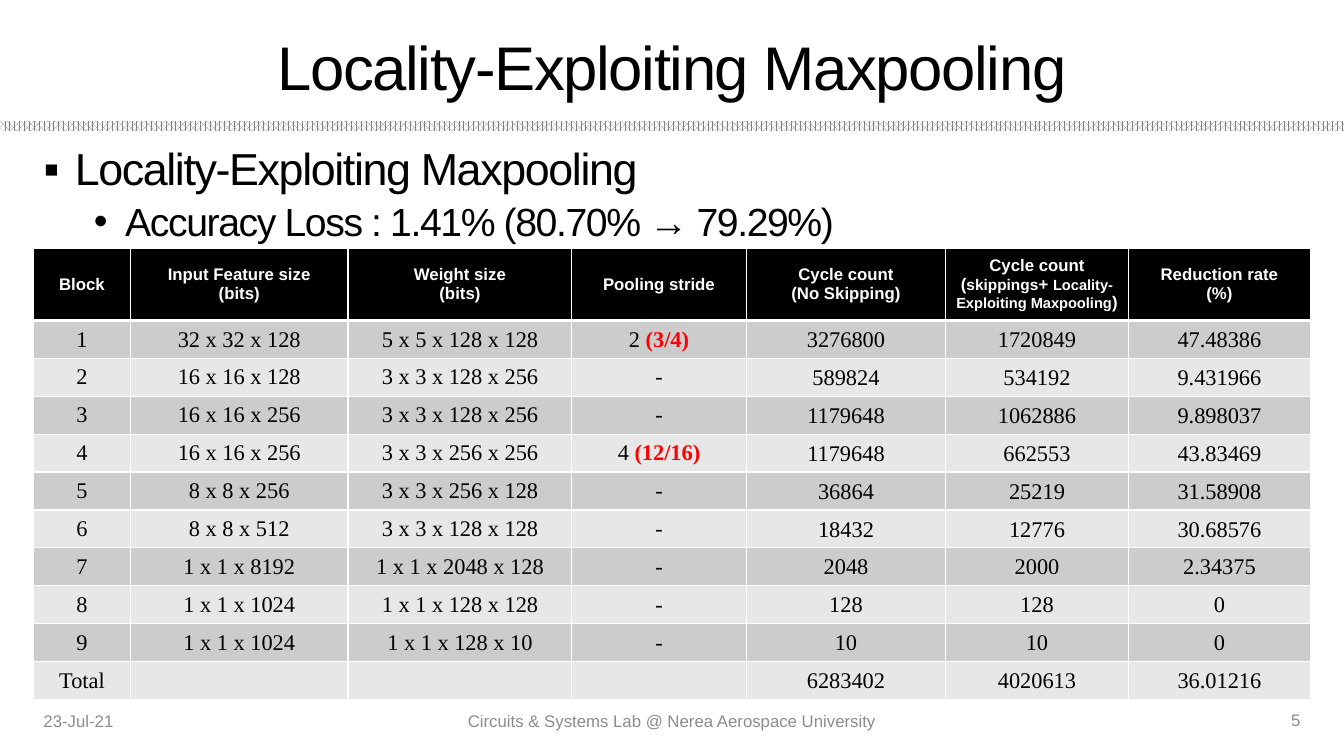
from dataclasses import dataclass, replace
from typing import NamedTuple

from lxml.etree import SubElement
from pptx import Presentation
from pptx.dml.color import RGBColor
from pptx.enum.dml import MSO_PATTERN
from pptx.enum.shapes import MSO_SHAPE
from pptx.enum.text import MSO_ANCHOR, MSO_AUTO_SIZE, PP_ALIGN
from pptx.oxml import parse_xml
from pptx.oxml.ns import nsdecls, qn
from pptx.util import Inches, Pt

SLIDE_WIDTH, SLIDE_HEIGHT = Inches(13.333), Inches(7.5)
GRID_COLUMNS, GRID_ROWS = 40, 75


@dataclass(frozen=True)
class Style:
    """Look of a run of text."""
    size: float
    color: str = "000000"
    font: str = "Arial"
    bold: bool = False
    tracking: float = 0


class Span(NamedTuple):
    """Words that share one style."""
    text: str
    style: Style


class Area(NamedTuple):
    """Place on the slide grid, in columns and rows."""
    column: float
    row: float
    columns: float
    rows: float


class Bullet(NamedTuple):
    """One line of the outline."""
    text: str
    mark: str
    level: int
    size: float
    space_before: float
    indent: float


class Footer(NamedTuple):
    """One part of the footer line."""
    text: str
    area: Area
    align: PP_ALIGN


TITLE = Style(44, tracking=-1)
FOOTER = Style(12, "8C8C8C")
HEAD = Style(12, "FFFFFF", bold=True)
DATA = Style(16, font="Times New Roman")
SAVING = replace(DATA, color="FF0000", bold=True)
HEAD_FILL, BAND_FILLS = "000000", ("CCCCCC", "E7E7E7")

BULLETS = (
    Bullet("Locality-Exploiting Maxpooling", "▪", 0, 32, 10, 0.31),
    Bullet("Accuracy Loss : 1.41% (80.70% → 79.29%)", "•", 1, 28, 5, 0.81),
)
FOOTERS = (
    Footer("23-Jul-21", Area(1, 69.5, 9, 4), PP_ALIGN.LEFT),
    Footer("Circuits & Systems Lab @ Nerea Aerospace University",
           Area(13.25, 69.5, 13.5, 4), PP_ALIGN.CENTER),
    Footer("5", Area(29.87, 69.4, 9.13, 4), PP_ALIGN.RIGHT),
)

TABLE_AREA = Area(1, 24.6, 38, 44.8)
HEAD_ROWS = 7.2
COLUMN_SPANS = (2.88, 6.48, 6.66, 5.19, 5.94, 5.43, 5.43)
FIRST_COUNT_COLUMN = 4
HEADINGS = (
    ("Block",), ("Input Feature size", "(bits)"), ("Weight size", "(bits)"),
    ("Pooling stride",), ("Cycle count", "(No Skipping)"),
    ("Cycle count", (Span("(", HEAD), Span("skippings", replace(HEAD, size=11)), Span("+ ", HEAD),
                     Span("Locality-Exploiting Maxpooling", replace(HEAD, size=10.5)),
                     Span(")", HEAD))),
    ("Reduction rate", "(%)"),
)
BLOCKS = (
    ("1", "32 x 32 x 128", "5 x 5 x 128 x 128", (Span("2 ", DATA), Span("(3/4)", SAVING)),
     "3276800", "1720849", "47.48386"),
    ("2", "16 x 16 x 128", "3 x 3 x 128 x 256", "-", "589824", "534192", "9.431966"),
    ("3", "16 x 16 x 256", "3 x 3 x 128 x 256", "-", "1179648", "1062886", "9.898037"),
    ("4", "16 x 16 x 256", "3 x 3 x 256 x 256", (Span("4 ", DATA), Span("(12/16)", SAVING)),
     "1179648", "662553", "43.83469"),
    ("5", "8 x 8 x 256", "3 x 3 x 256 x 128", "-", "36864", "25219", "31.58908"),
    ("6", "8 x 8 x 512", "3 x 3 x 128 x 128", "-", "18432", "12776", "30.68576"),
    ("7", "1 x 1 x 8192", "1 x 1 x 2048 x 128", "-", "2048", "2000", "2.34375"),
    ("8", "1 x 1 x 1024", "1 x 1 x 128 x 128", "-", "128", "128", "0"),
    ("9", "1 x 1 x 1024", "1 x 1 x 128 x 10", "-", "10", "10", "0"),
    ("Total", "", "", "", "6283402", "4020613", "36.01216"),
)


def across(columns: float) -> int:
    """Width of a number of grid columns."""
    return round(SLIDE_WIDTH * columns / GRID_COLUMNS)


def down(rows: float) -> int:
    """Height of a number of grid rows."""
    return round(SLIDE_HEIGHT * rows / GRID_ROWS)


def place(area: Area) -> tuple[int, int, int, int]:
    """Left, top, width and height of an area."""
    return across(area.column), down(area.row), across(area.columns), down(area.rows)


def rgb(color: str) -> RGBColor:
    """Colour from a hex string."""
    return RGBColor.from_string(color)


def format_run(run, style: Style) -> None:
    """Apply a style to a run."""
    run.font.size, run.font.name, run.font.bold = Pt(style.size), style.font, style.bold
    run.font.color.rgb = rgb(style.color)
    if style.tracking:
        run.font._element.set("spc", str(round(style.tracking * 100)))


def write(paragraph, content, style: Style, align: PP_ALIGN) -> None:
    """Fill a paragraph with a string or with spans."""
    paragraph.alignment = align
    spans = (Span(content, style),) if isinstance(content, str) else content
    for span in spans:
        if span.text:
            run = paragraph.add_run()
            run.text = span.text
            format_run(run, span.style)


def add_title(slide, text: str) -> None:
    """Place and format the title."""
    title = slide.shapes.title
    title.left, title.top, title.width, title.height = place(Area(1, 2.2, 38, 8.7))
    frame = title.text_frame
    frame.auto_size, frame.vertical_anchor = MSO_AUTO_SIZE.NONE, MSO_ANCHOR.MIDDLE
    write(frame.paragraphs[0], text, TITLE, PP_ALIGN.CENTER)


def add_divider(slide) -> None:
    """Draw the patterned band below the title."""
    band = slide.shapes.add_shape(MSO_SHAPE.RECTANGLE, *place(Area(0, 12, 40, 1)))
    band.shadow.inherit = False
    band.line.fill.background()
    band.fill.patterned()
    band.fill.pattern = MSO_PATTERN.PERCENT_70
    band.fill.fore_color.rgb, band.fill.back_color.rgb = rgb("808080"), rgb("FFFFFF")


def add_outline(slide) -> None:
    """Write the bulleted lines."""
    frame = slide.shapes.add_textbox(*place(Area(1, 14.1, 38, 53.5))).text_frame
    frame.word_wrap = True
    for index, bullet in enumerate(BULLETS):
        paragraph = frame.add_paragraph() if index else frame.paragraphs[0]
        paragraph.level, paragraph.line_spacing = bullet.level, 0.9
        paragraph.space_before = Pt(bullet.space_before)
        write(paragraph, bullet.text, Style(bullet.size, tracking=-1), PP_ALIGN.LEFT)
        properties = paragraph._p.get_or_add_pPr()
        properties.set("marL", str(Inches(bullet.indent)))
        properties.set("indent", str(Inches(-0.31)))
        SubElement(properties, qn("a:buFont")).set("typeface", "Arial")
        SubElement(properties, qn("a:buChar")).set("char", bullet.mark)


def add_footer(slide, footer: Footer) -> None:
    """Write one part of the footer."""
    frame = slide.shapes.add_textbox(*place(footer.area)).text_frame
    frame.word_wrap, frame.vertical_anchor = True, MSO_ANCHOR.MIDDLE
    write(frame.paragraphs[0], footer.text, FOOTER, footer.align)


def fill_cell(cell, lines: tuple, style: Style, fill: str, bottom_line: float) -> None:
    """Write a cell and give it a fill and white borders."""
    cell.vertical_anchor = MSO_ANCHOR.MIDDLE
    cell.fill.solid()
    cell.fill.fore_color.rgb = rgb(fill)
    for index, line in enumerate(lines):
        paragraph = cell.text_frame.add_paragraph() if index else cell.text_frame.paragraphs[0]
        write(paragraph, line, style, PP_ALIGN.CENTER)
    for index, (side, width) in enumerate((("L", 1), ("R", 1), ("T", 1), ("B", bottom_line))):
        cell._tc.get_or_add_tcPr().insert(index, parse_xml(
            f'<a:ln{side} {nsdecls("a")} w="{Pt(width)}"><a:solidFill>'
            f'<a:srgbClr val="FFFFFF"/></a:solidFill></a:ln{side}>'))


def add_block_table(slide) -> None:
    """Draw the table of cycle counts per block."""
    table = slide.shapes.add_table(len(BLOCKS) + 1, len(HEADINGS), *place(TABLE_AREA)).table
    table.first_row = table.horz_banding = False
    for column, span in zip(table.columns, COLUMN_SPANS):
        column.width = across(span)
    for row in table.rows:
        row.height = down((TABLE_AREA.rows - HEAD_ROWS) / len(BLOCKS))
    table.rows[0].height = down(HEAD_ROWS)
    for column, lines in enumerate(HEADINGS):
        fill_cell(table.cell(0, column), lines, HEAD, HEAD_FILL, 3)
    for index, block in enumerate(BLOCKS):
        for column, content in enumerate(block):
            cell = table.cell(index + 1, column)
            fill_cell(cell, (content,), DATA, BAND_FILLS[index % 2], 1)
            if column >= FIRST_COUNT_COLUMN or not content:
                cell.margin_left = cell.margin_right = cell.margin_top = Inches(0.01)
                cell.margin_bottom = 0


presentation = Presentation()
presentation.slide_width, presentation.slide_height = SLIDE_WIDTH, SLIDE_HEIGHT
pooling_slide = presentation.slides.add_slide(presentation.slide_layouts[5])
add_divider(pooling_slide)
add_outline(pooling_slide)
for part in FOOTERS:
    add_footer(pooling_slide, part)
add_title(pooling_slide, "Locality-Exploiting Maxpooling")
add_block_table(pooling_slide)
presentation.save("out.pptx")
